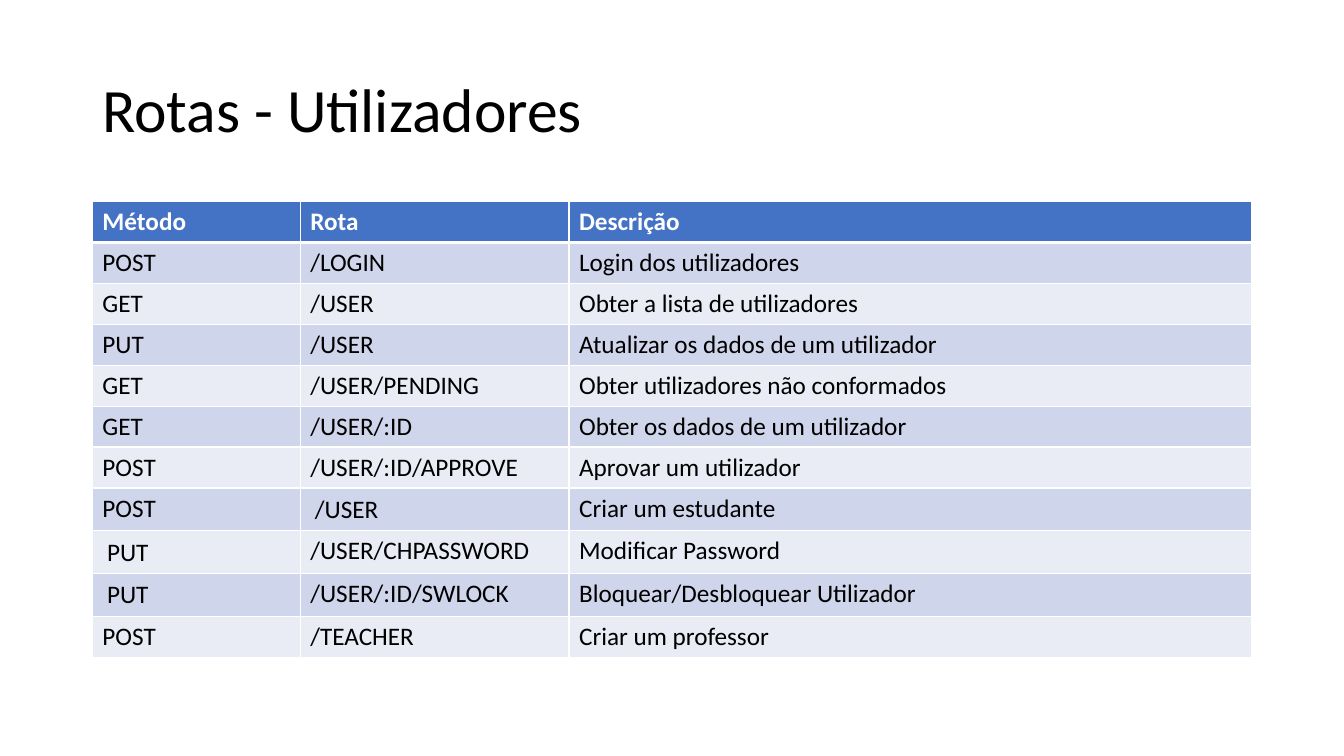
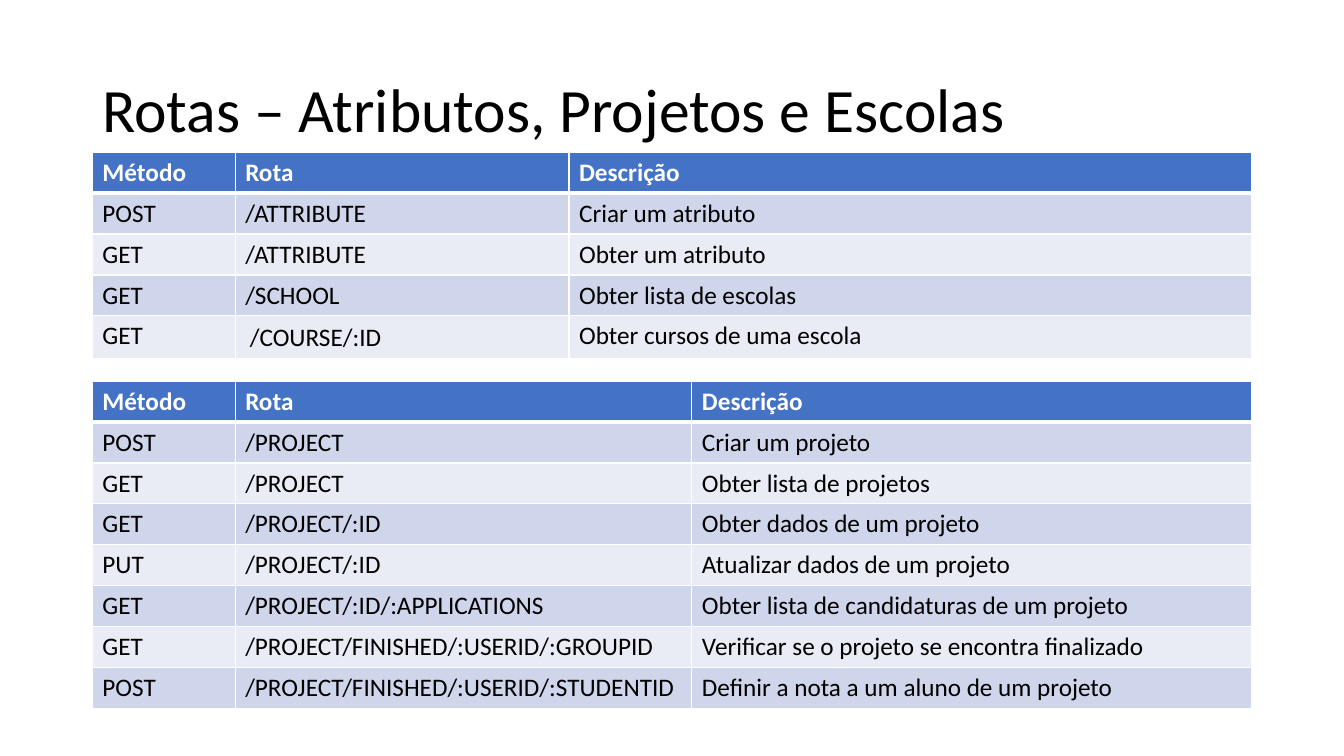
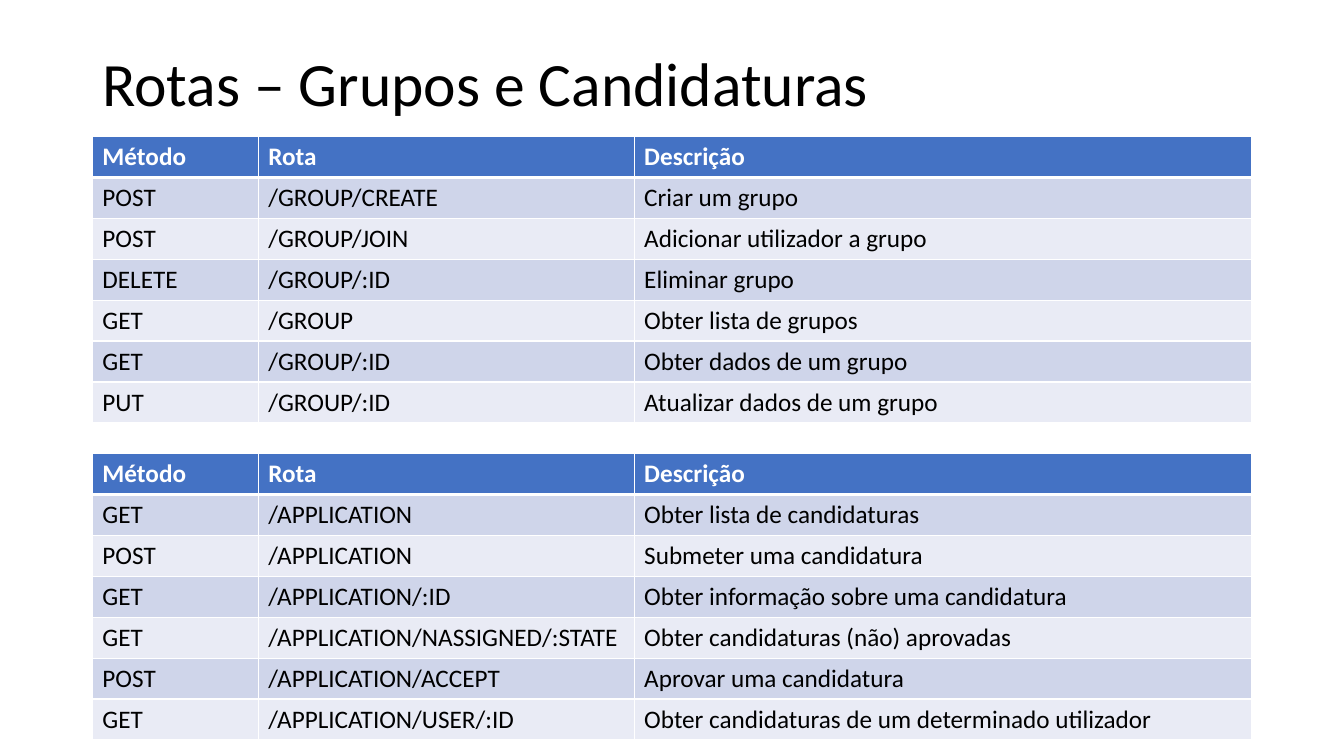
from dataclasses import dataclass

from lxml.etree import SubElement
from pptx import Presentation
from pptx.dml.color import RGBColor
from pptx.enum.text import MSO_ANCHOR
from pptx.oxml.ns import qn
from pptx.util import Emu, Pt

PX = 9525  # 96 px to the inch


@dataclass(frozen=True)
class Theme:
    font: str = "Calibri"
    title_size: int = 44
    cell_size: int = 18
    text: str = "000000"
    header_text: str = "FFFFFF"
    header_fill: str = "4472C4"
    bands: tuple = ("CFD5EA", "E9EBF5")
    rule: str = "FFFFFF"
    thin_rule: int = 1
    header_rule: int = 3


THEME = Theme()

SLIDE_WIDTH, SLIDE_HEIGHT = 1280, 720
LEFT, WIDTH = 88, 1104
TITLE_HEIGHT = 139
ROW_HEIGHT = 39
PADDED_X, PADDED_Y = 14, 6

HEADER = ("Método", "Rota", "Descrição")

# "padded" lists the (row, column) cells with wider margins and centred text.
SLIDES = [
    {
        "title": "Rotas - Utilizadores",
        "title_top": 38,
        "tables": [
            {
                "top": 192,
                "columns": (198, 256, 650),
                "padded": {(7, 1), (8, 0), (9, 0)},
                "routes": [
                    ("POST", "/LOGIN", "Login dos utilizadores"),
                    ("GET", "/USER", "Obter a lista de utilizadores"),
                    ("PUT", "/USER", "Atualizar os dados de um utilizador"),
                    ("GET", "/USER/PENDING", "Obter utilizadores não conformados"),
                    ("GET", "/USER/:ID", "Obter os dados de um utilizador"),
                    ("POST", "/USER/:ID/APPROVE", "Aprovar um utilizador"),
                    ("POST", "/USER", "Criar um estudante"),
                    ("PUT", "/USER/CHPASSWORD", "Modificar Password"),
                    ("PUT", "/USER/:ID/SWLOCK", "Bloquear/Desbloquear Utilizador"),
                    ("POST", "/TEACHER", "Criar um professor"),
                ],
            },
        ],
    },
    {
        "title": "Rotas – Atributos, Projetos e Escolas",
        "title_top": 38,
        "tables": [
            {
                "top": 145,
                "columns": (136, 318, 650),
                "padded": {(4, 1)},
                "routes": [
                    ("POST", "/ATTRIBUTE", "Criar um atributo"),
                    ("GET", "/ATTRIBUTE", "Obter um atributo"),
                    ("GET", "/SCHOOL", "Obter lista de escolas"),
                    ("GET", "/COURSE/:ID", "Obter cursos de uma escola"),
                ],
            },
            {
                "top": 363,
                "columns": (136, 435, 533),
                "padded": set(),
                "routes": [
                    ("POST", "/PROJECT", "Criar um projeto"),
                    ("GET", "/PROJECT", "Obter lista de projetos"),
                    ("GET", "/PROJECT/:ID", "Obter dados de um projeto"),
                    ("PUT", "/PROJECT/:ID", "Atualizar dados de um projeto"),
                    ("GET", "/PROJECT/:ID/:APPLICATIONS",
                     "Obter lista de candidaturas de um projeto"),
                    ("GET", "/PROJECT/FINISHED/:USERID/:GROUPID",
                     "Verificar se o projeto se encontra finalizado"),
                    ("POST", "/PROJECT/FINISHED/:USERID/:STUDENTID",
                     "Definir a nota a um aluno de um projeto"),
                ],
            },
        ],
    },
    {
        "title": "Rotas – Grupos e Candidaturas",
        "title_top": 13,
        "tables": [
            {
                "top": 130,
                "columns": (158, 358, 588),
                "padded": set(),
                "routes": [
                    ("POST", "/GROUP/CREATE", "Criar um grupo"),
                    ("POST", "/GROUP/JOIN", "Adicionar utilizador a grupo"),
                    ("DELETE", "/GROUP/:ID", "Eliminar grupo"),
                    ("GET", "/GROUP", "Obter lista de grupos"),
                    ("GET", "/GROUP/:ID", "Obter dados de um grupo"),
                    ("PUT", "/GROUP/:ID", "Atualizar dados de um grupo"),
                ],
            },
            {
                "top": 432,
                "columns": (158, 358, 588),
                "padded": set(),
                "routes": [
                    ("GET", "/APPLICATION", "Obter lista de candidaturas"),
                    ("POST", "/APPLICATION", "Submeter uma candidatura"),
                    ("GET", "/APPLICATION/:ID", "Obter informação sobre uma candidatura"),
                    ("GET", "/APPLICATION/NASSIGNED/:STATE",
                     "Obter candidaturas (não) aprovadas"),
                    ("POST", "/APPLICATION/ACCEPT", "Aprovar uma candidatura"),
                    ("GET", "/APPLICATION/USER/:ID",
                     "Obter candidaturas de um determinado utilizador"),
                ],
            },
        ],
    },
]


def px(length):
    return Emu(length * PX)


def set_text(frame, text, size, color, bold=False):
    frame.text = text
    font = frame.paragraphs[0].runs[0].font
    font.name = THEME.font
    font.size = Pt(size)
    font.bold = bold
    font.color.rgb = RGBColor.from_string(color)


def add_title(page, text, top):
    box = page.shapes.add_textbox(px(LEFT), px(top), px(WIDTH), px(TITLE_HEIGHT))
    frame = box.text_frame
    frame.word_wrap = True
    frame.vertical_anchor = MSO_ANCHOR.MIDDLE
    set_text(frame, text, THEME.title_size, THEME.text)
    frame.paragraphs[0].line_spacing = 0.9


def set_borders(cell, row):
    """Rule all four sides, with a thicker rule between header and body."""
    top = THEME.header_rule if row == 1 else THEME.thin_rule
    bottom = THEME.header_rule if row == 0 else THEME.thin_rule
    widths = {"L": THEME.thin_rule, "R": THEME.thin_rule, "T": top, "B": bottom}
    properties = cell._tc.get_or_add_tcPr()
    for side, width in widths.items():
        line = SubElement(properties, qn(f"a:ln{side}"), w=str(Pt(width)))
        fill = SubElement(line, qn("a:solidFill"))
        SubElement(fill, qn("a:srgbClr"), val=THEME.rule)


def style_cell(cell, text, row, padded):
    is_header = row == 0
    set_borders(cell, row)
    fill = THEME.header_fill if is_header else THEME.bands[(row - 1) % 2]
    cell.fill.solid()
    cell.fill.fore_color.rgb = RGBColor.from_string(fill)
    color = THEME.header_text if is_header else THEME.text
    set_text(cell.text_frame, text, THEME.cell_size, color, is_header)
    if padded:
        cell.vertical_anchor = MSO_ANCHOR.MIDDLE
        cell.margin_left = cell.margin_right = px(PADDED_X)
        cell.margin_top = cell.margin_bottom = px(PADDED_Y)


def add_route_table(page, top, columns, padded, routes):
    rows = [HEADER, *routes]
    table = page.shapes.add_table(
        len(rows), len(columns), px(LEFT), px(top), px(WIDTH), px(ROW_HEIGHT * len(rows))
    ).table
    for column, width in zip(table.columns, columns):
        column.width = px(width)
    for row, texts in enumerate(rows):
        table.rows[row].height = px(ROW_HEIGHT)
        for column, text in enumerate(texts):
            style_cell(table.cell(row, column), text, row, (row, column) in padded)


def main():
    deck = Presentation()
    deck.slide_width, deck.slide_height = px(SLIDE_WIDTH), px(SLIDE_HEIGHT)
    for content in SLIDES:
        page = deck.slides.add_slide(deck.slide_layouts[6])
        add_title(page, content["title"], content["title_top"])
        for table in content["tables"]:
            add_route_table(page, **table)
    deck.save("out.pptx")


if __name__ == "__main__":
    main()
